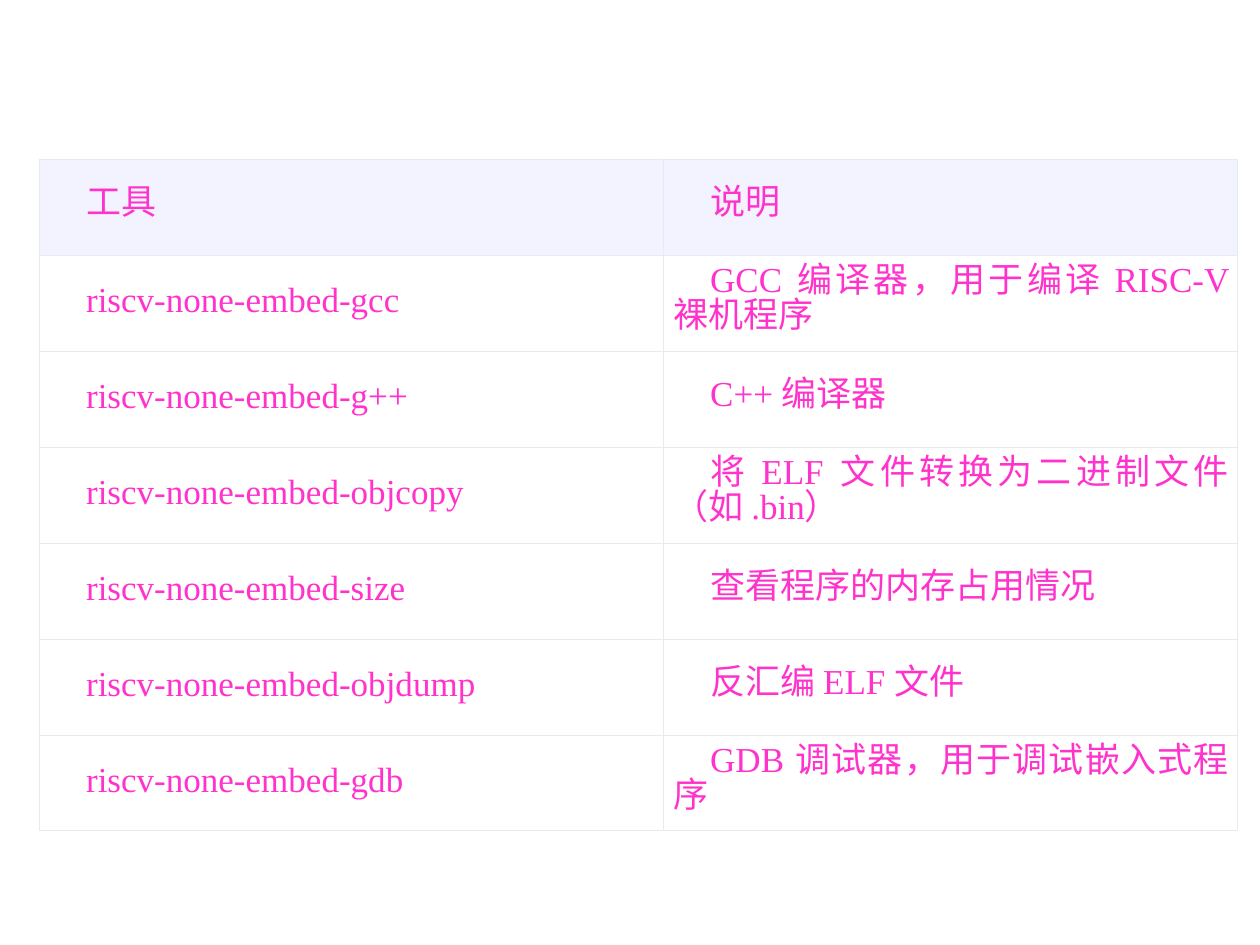
from pptx import Presentation
from pptx.dml.color import RGBColor
from pptx.enum.text import MSO_ANCHOR, PP_ALIGN
from pptx.oxml import parse_xml
from pptx.oxml.ns import nsdecls
from pptx.util import Pt

COLORS = {"text": "FF33CC", "header": "F3F2FF", "body": "FFFFFF", "border": "E8EAF2"}
ROWS = [
    ("工具", "说明"),
    ("riscv-none-embed-gcc", "GCC 编译器，用于编译 RISC-V 裸机程序"),
    ("riscv-none-embed-g++", "C++ 编译器"),
    ("riscv-none-embed-objcopy", "将 ELF 文件转换为二进制文件（如 .bin）"),
    ("riscv-none-embed-size", "查看程序的内存占用情况"),
    ("riscv-none-embed-objdump", "反汇编 ELF 文件"),
    ("riscv-none-embed-gdb", "GDB 调试器，用于调试嵌入式程序"),
]
COLUMN_WIDTHS = (356.6, 328.1)
ROW_HEIGHT = 54.85


def write_text(cell, text, size=20, font="Times New Roman", color="text", bold=False):
    paragraph = cell.text_frame.paragraphs[0]
    paragraph.alignment = PP_ALIGN.JUSTIFY
    paragraph.line_spacing = Pt(20)
    properties = paragraph._p.get_or_add_pPr()
    properties.set("marL", str(Pt(0.7)))
    properties.set("indent", str(Pt(21)))
    run = paragraph.add_run()
    run.text = text
    run.font.size = Pt(size)
    run.font.name = font
    run.font.bold = bold
    run.font.color.rgb = RGBColor.from_string(COLORS[color])


def add_borders(cell, color="border", width=0.25):
    properties = cell._tc.get_or_add_tcPr()
    for index, side in enumerate("LRTB"):
        properties.insert(index, parse_xml(
            f'<a:ln{side} {nsdecls("a")} w="{Pt(width)}"><a:solidFill>'
            f'<a:srgbClr val="{COLORS[color]}"/></a:solidFill></a:ln{side}>'))


presentation = Presentation()
presentation.slide_width = Pt(720)
presentation.slide_height = Pt(540)
slide = presentation.slides.add_slide(presentation.slide_layouts[6])

table = slide.shapes.add_table(
    len(ROWS), len(COLUMN_WIDTHS), Pt(22.5), Pt(90.9),
    Pt(sum(COLUMN_WIDTHS)), Pt(ROW_HEIGHT * len(ROWS))).table
table.horz_banding = False
for column, width in zip(table.columns, COLUMN_WIDTHS):
    column.width = Pt(width)

for row_index, texts in enumerate(ROWS):
    table.rows[row_index].height = Pt(ROW_HEIGHT)
    fill_color = COLORS["body" if row_index else "header"]
    for column_index, text in enumerate(texts):
        cell = table.cell(row_index, column_index)
        cell.vertical_anchor = MSO_ANCHOR.MIDDLE
        cell.margin_left = cell.margin_right = Pt(5)
        cell.margin_top = cell.margin_bottom = Pt(2.5)
        cell.fill.solid()
        cell.fill.fore_color.rgb = RGBColor.from_string(fill_color)
        add_borders(cell)
        write_text(cell, text)

presentation.save("out.pptx")
